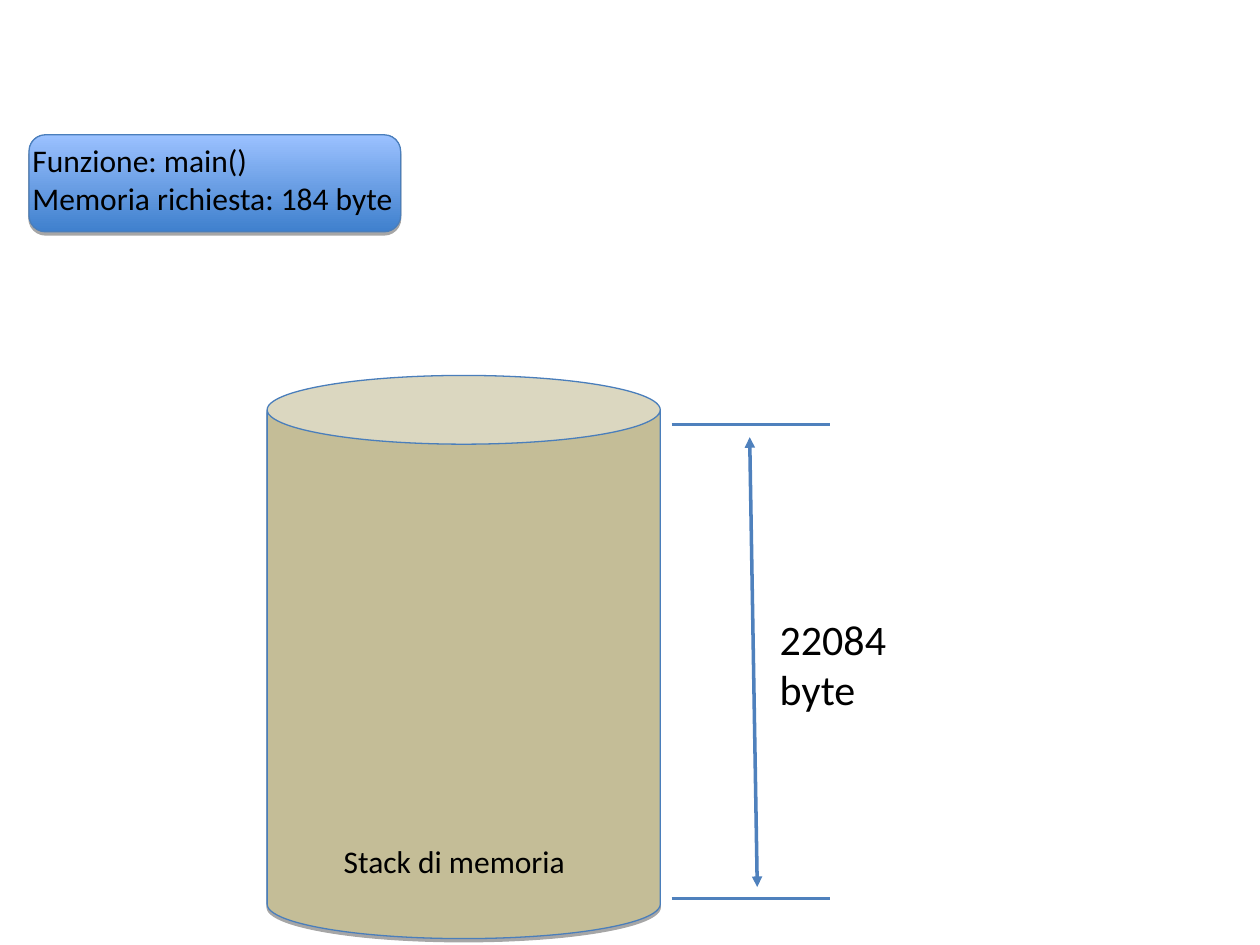
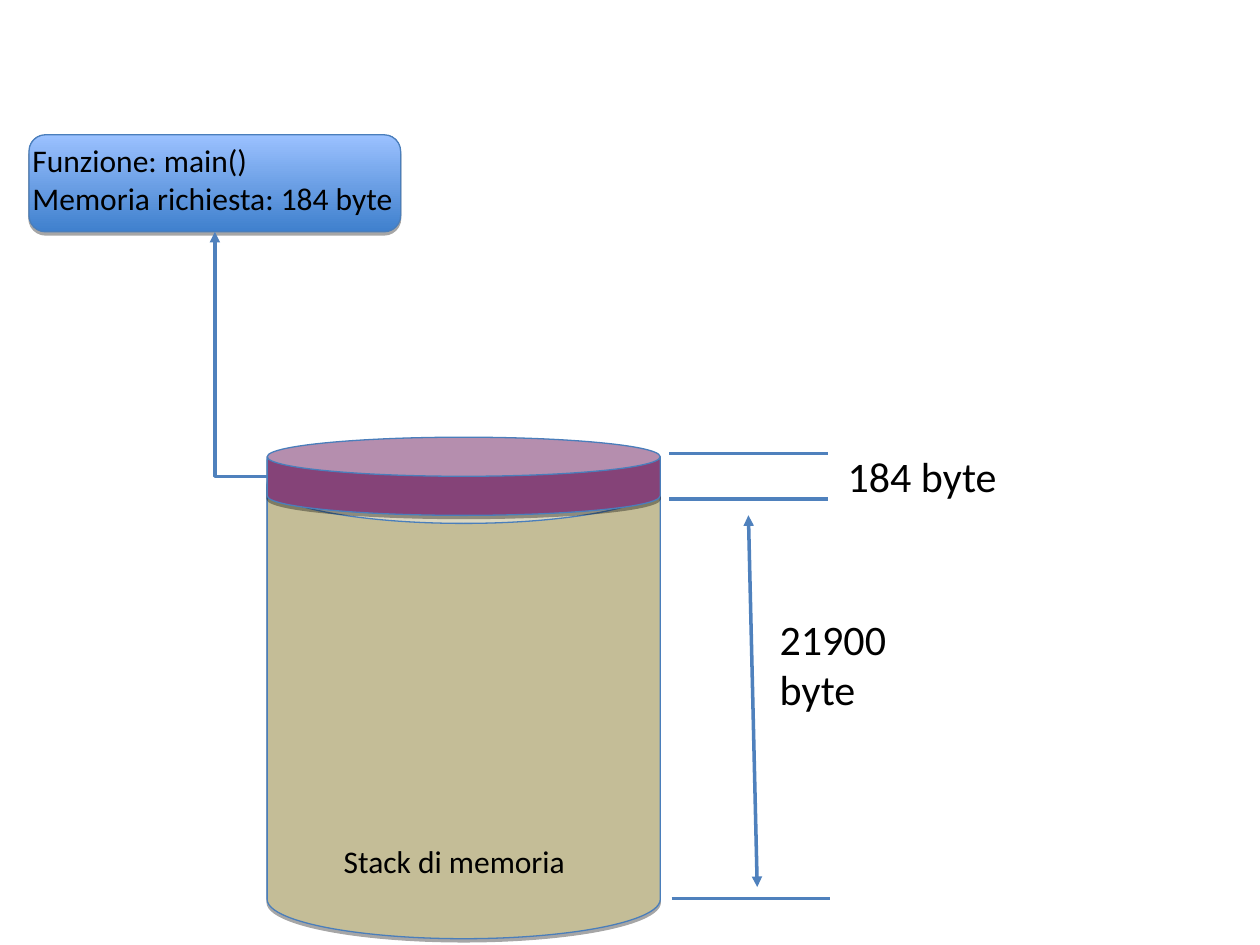
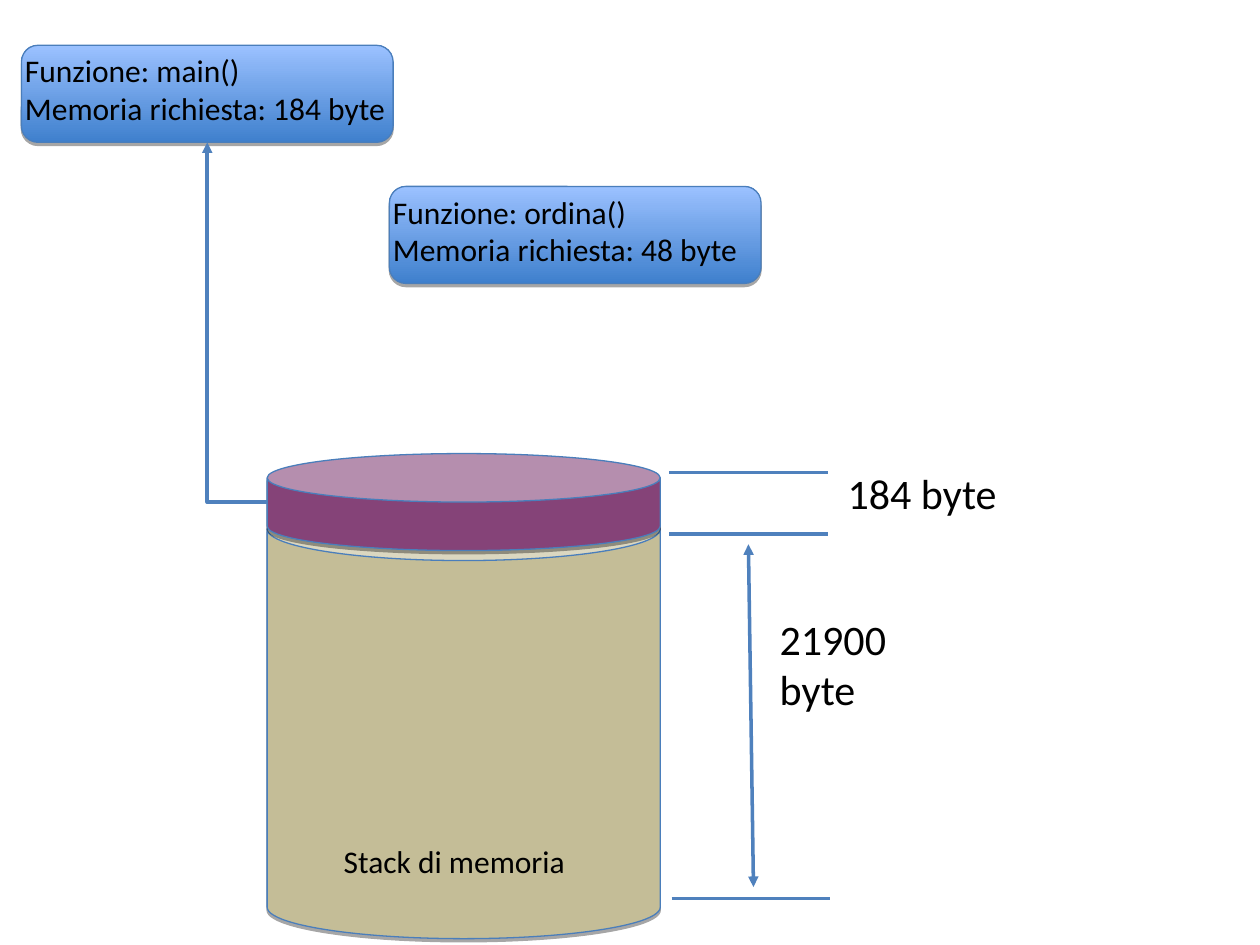
from lxml import etree
from pptx import Presentation, util as u
from pptx.dml.color import RGBColor
from pptx.enum import shapes, text
from pptx.oxml import ns

INK, EDGE, RULE = "000000", "4A7EBB", "4F81BD"
BOX_LOW, BOX_HIGH = "3F80CD", "9BC1FF"
FREE, USED = "C4BD97", "854378"
FONT = "Calibri"
BOX_W, BOX_H = 2.95, 0.77
CAN_X, CAN_W, CAN_BOTTOM = 2.12, 3.12, 7.45
RULE_W, FLOOR = 1.26, 7.13


def rgb(value):
    return RGBColor.from_string(value)


def add_text(tf, content, size=18, color=INK, font=FONT):
    for i, line in enumerate(content.split("\n")):
        p = tf.paragraphs[0] if i == 0 else tf.add_paragraph()
        r = p.add_run()
        r.text = line
        r.font.size = u.Pt(size)
        r.font.name = font
        r.font.color.rgb = rgb(color)


def sub(parent, tag, **attrs):
    return etree.SubElement(parent, ns.qn(tag), attrs)


class Deck:
    def __init__(self):
        self.prs = Presentation()
        self.prs.slide_width = u.Inches(10)
        self.prs.slide_height = u.Inches(7.5)
        self.s = None

    def slide(self):
        self.s = self.prs.slides.add_slide(self.prs.slide_layouts[6])

    def shape(self, kind, x, y, w, h, adj):
        sp = self.s.shapes.add_shape(kind, *map(u.Inches, (x, y, w, h)))
        sp.adjustments[0] = adj
        sp.line.color.rgb = rgb(EDGE)
        sp.line.width = u.Pt(0.75)
        sp.shadow.inherit = False
        effects = sp._element.spPr.find(ns.qn("a:effectLst"))
        shadow = sub(effects, "a:outerShdw", blurRad="0", dist=str(u.Pt(1.8)),
                     dir="5400000", rotWithShape="0")
        sub(sub(shadow, "a:srgbClr", val=INK), "a:alpha", val="35000")
        return sp

    def label(self, content, x, y, w, h, size=18):
        tf = self.s.shapes.add_textbox(*map(u.Inches, (x, y, w, h))).text_frame
        tf.word_wrap = True
        tf.auto_size = text.MSO_AUTO_SIZE.SHAPE_TO_FIT_TEXT
        add_text(tf, content, size=size)

    def function(self, name, size, x, y):
        sp = self.shape(shapes.MSO_SHAPE.ROUNDED_RECTANGLE, x, y, BOX_W, BOX_H, 0.17)
        sp.fill.gradient()
        sp.fill.gradient_angle = 90
        for stop, color in zip(sp.fill.gradient_stops, (BOX_LOW, BOX_HIGH)):
            stop.color.rgb = rgb(color)
        self.label(f"Funzione: {name}()\nMemoria richiesta: {size} byte",
                   x - 0.07, y, 3.1, 0.7)

    def can(self, top, bottom, adj, color):
        sp = self.shape(shapes.MSO_SHAPE.CAN, CAN_X, top, CAN_W, bottom - top, adj)
        sp.fill.solid()
        sp.fill.fore_color.rgb = rgb(color)

    def line(self, x1, y1, x2, y2, ends=(), kind=shapes.MSO_CONNECTOR.STRAIGHT):
        cx = self.s.shapes.add_connector(kind, *map(u.Inches, (x1, y1, x2, y2)))
        cx.line.color.rgb = rgb(RULE)
        cx.line.width = u.Pt(2)
        for end in ends:
            sub(cx.line._get_or_add_ln(), f"a:{end}", type="triangle")
        sub(cx._element.spPr, "a:effectLst")
        return cx

    def rule(self, x, y):
        self.line(x, y, x + RULE_W, y)

    def elbow(self, x, top, bottom):
        cx = self.line(x, top, CAN_X, bottom, ("tailEnd",), shapes.MSO_CONNECTOR.ELBOW)
        spPr = cx._element.spPr
        spPr.find(ns.qn("a:prstGeom")).set("prst", "bentConnector2")
        spPr.find(ns.qn("a:xfrm")).set("rot", "10800000")

    def stack(self, top, adj, free, rule, arrow):
        self.can(top, CAN_BOTTOM, adj, FREE)
        self.rule(*rule)
        self.rule(5.33, FLOOR)
        x1, y1, x2 = arrow
        self.line(x1, y1, x2, 7.04, ("headEnd", "tailEnd"))
        self.label(f"{free} byte", 6.09, 4.82, 1.26, 0.9, size=24)
        self.label("Stack di memoria", 2.63, 6.63, 1.97, 0.4)

    def frame(self, size, top, bottom, rule_y, box_x, box_y):
        self.can(top, bottom, 0.5, USED)
        self.rule(5.31, rule_y)
        self.label(f"{size} byte", 6.63, top + 0.06, 1.43, 0.5, size=24)
        self.elbow(box_x + BOX_W / 2, box_y + BOX_H, (top + bottom) / 2)


def main():
    d = Deck()

    d.slide()
    d.function("main", 184, 0.23, 1.07)
    d.stack(2.98, 0.175, 22084, (5.33, 3.37), (5.95, 3.47, 6.01))

    d.slide()
    d.function("main", 184, 0.23, 1.07)
    d.stack(3.53, 0.2, 21900, (5.31, 3.6), (5.94, 4.09, 6.01))
    d.frame(184, 3.47, 4.09, 3.96, 0.23, 1.07)

    d.slide()
    d.function("main", 184, 0.17, 0.36)
    d.stack(3.95, 0.16, 21900, (5.31, 3.75), (5.94, 4.32, 5.98))
    d.frame(184, 3.6, 4.37, 4.24, 0.17, 0.36)
    d.function("ordina", 48, 3.09, 1.48)

    d.prs.save("out.pptx")


if __name__ == "__main__":
    main()
